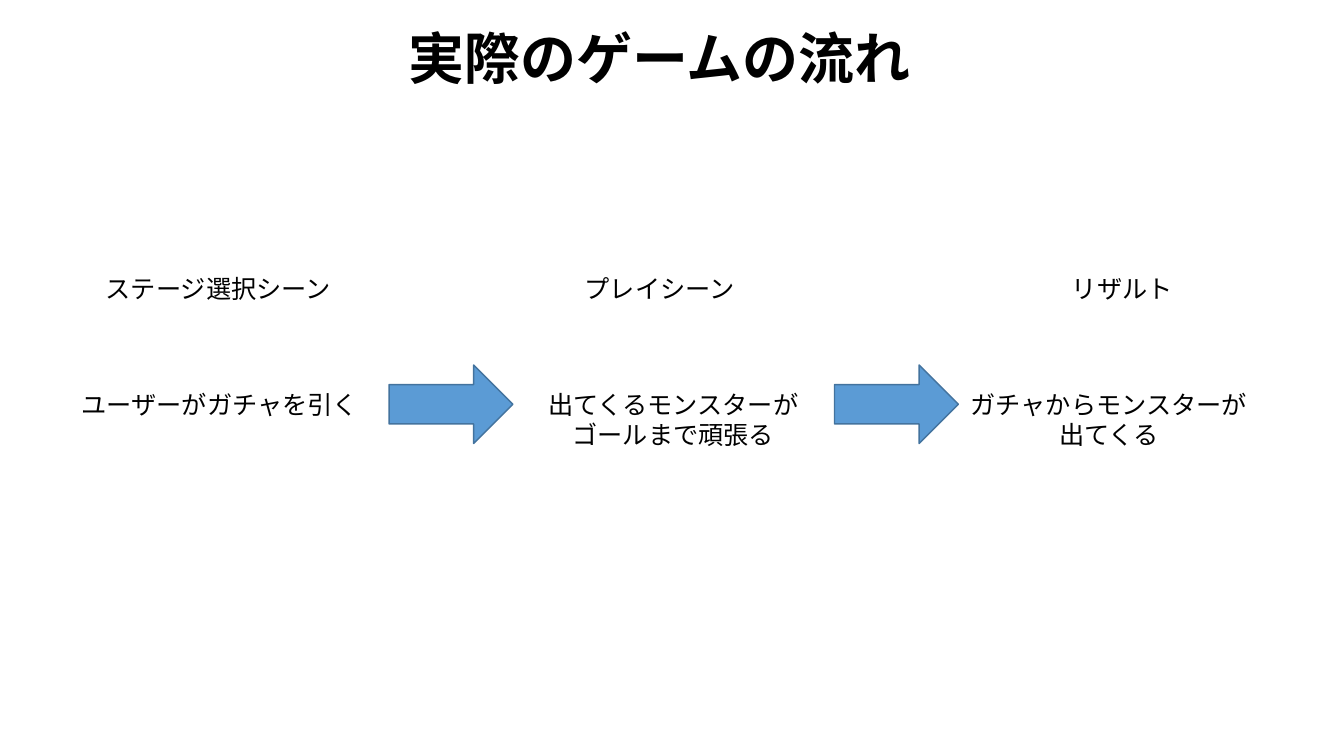
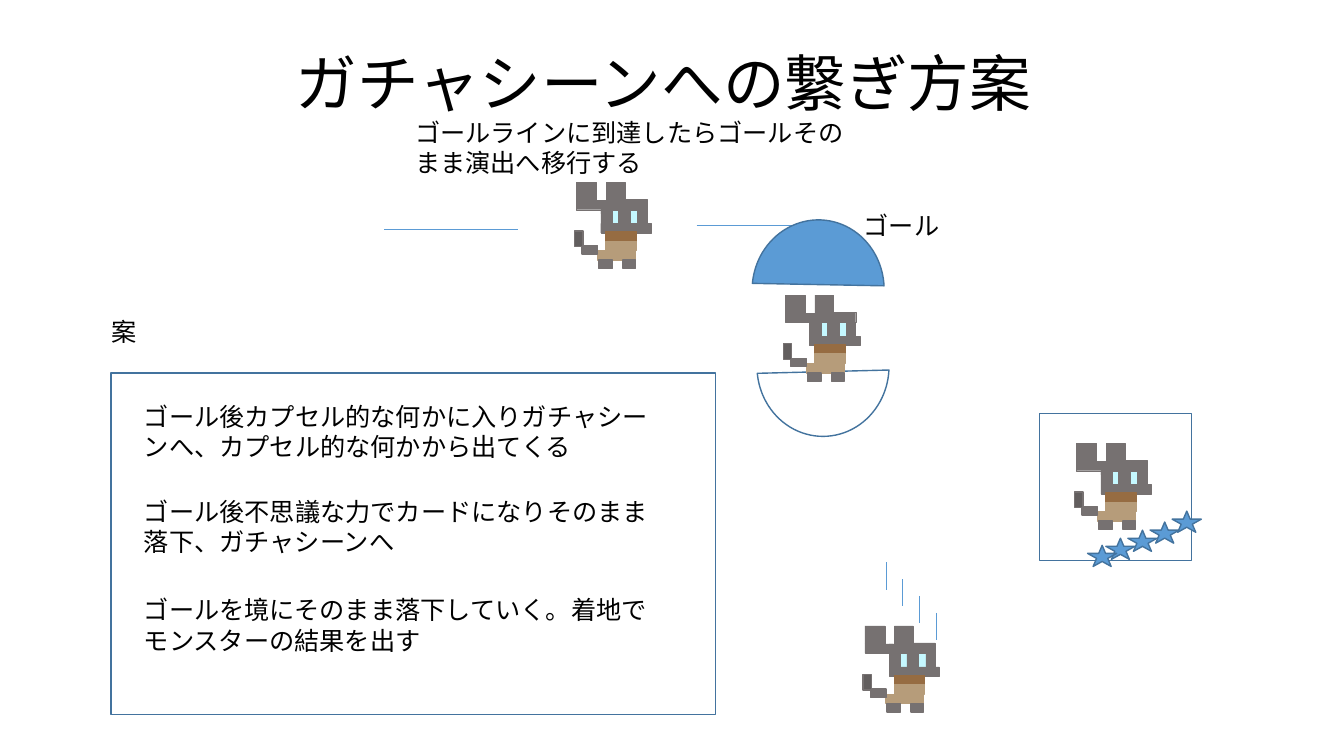
from dataclasses import dataclass

from lxml import etree
from pptx import Presentation
from pptx.dml.color import RGBColor
from pptx.enum.shapes import MSO_CONNECTOR, MSO_SHAPE
from pptx.enum.text import MSO_ANCHOR, MSO_AUTO_SIZE, PP_ALIGN
from pptx.oxml.ns import qn
from pptx.util import Emu, Inches, Pt

STRAIGHT = MSO_CONNECTOR.STRAIGHT
RECTANGLE, ARROW = MSO_SHAPE.RECTANGLE, MSO_SHAPE.RIGHT_ARROW
CHORD, STAR = MSO_SHAPE.CHORD, MSO_SHAPE.STAR_5_POINT
LEFT, CENTER = PP_ALIGN.LEFT, PP_ALIGN.CENTER
TOP, MIDDLE = MSO_ANCHOR.TOP, MSO_ANCHOR.MIDDLE
FIT_TEXT, NO_FIT = MSO_AUTO_SIZE.SHAPE_TO_FIT_TEXT, MSO_AUTO_SIZE.NONE

# The slide is a grid of 64 columns and 36 rows of square cells.
COLUMNS, ROWS = 64, 36
CELL = Inches(7.5) / ROWS
MOUSE_PIXEL = 1 / 20  # in cells

FONT = "Noto Sans CJK JP"
BODY_SIZE = 18
ONE_LINE, TWO_LINES = 1.92, 3.41
TITLE_ONLY = 5
COLORS = {
    "text": "000000",
    "blue": "5B9BD5",
    "outline": "43739E",
    "fur": "767171",
    "tail": "625E5E",
    "eye": "C5F8FF",
    "collar": "966C42",
    "belly": "B69C7A",
}


@dataclass(frozen=True)
class Box:
    left: float
    top: float
    width: float
    height: float


@dataclass(frozen=True)
class Step:
    heading: str
    heading_left: float
    action: str
    action_box: Box
    alignment: PP_ALIGN = CENTER


@dataclass(frozen=True)
class MousePart:
    """A block of the mouse, measured in mouse pixels."""
    left: int
    top: int
    width: int
    height: int
    fill: str = "fur"
    line: str = "fur"
    line_width: float = 0.25


STEPS = (
    Step("ステージ選択シーン", 3.41, "ユーザーがガチャを引く",
         Box(3.41, 18.29, 15.12, ONE_LINE), LEFT),
    Step("プレイシーン", 24.43, "出てくるモンスターがゴールまで頑張る",
         Box(24.91, 18.29, 14.3, TWO_LINES)),
    Step("リザルト", 46.46, "ガチャからモンスターが出てくる",
         Box(45.65, 18.29, 14.3, TWO_LINES)),
)
ARROW_LEFTS = (18.53, 39.74)

PROPOSALS = (
    (18.86, "ゴール後カプセル的な何かに入りガチャシーンへ、カプセル的な何かから出てくる"),
    (23.38, "ゴール後不思議な力でカードになりそのまま落下、ガチャシーンへ"),
    (28.08, "ゴールを境にそのまま落下していく。着地でモンスターの結果を出す"),
)
STAR_CORNERS = ((52.66, 25.63), (51.79, 25.97), (53.71, 25.25),
                (54.77, 24.86), (55.82, 24.34))

MOUSE_PARTS = (
    MousePart(53, 26, 7, 13, "eye", "eye", 1),
    MousePart(34, 26, 7, 13, "eye", "eye", 1),
    MousePart(25, 39, 48, 9),
    MousePart(25, 26, 11, 13),
    MousePart(25, 17, 10, 13),
    MousePart(2, 17, 27, 9),
    MousePart(34, 16, 35, 10),
    MousePart(30, 0, 18, 17),
    MousePart(42, 25, 11, 14),
    MousePart(60, 26, 9, 13),
    MousePart(30, 47, 29, 9, "collar", "collar", 1),
    MousePart(30, 56, 29, 9, "belly", "belly", 1),
    MousePart(22, 65, 36, 9, "belly", "belly", 1),
    MousePart(46, 74, 12, 8, line_width=1),
    MousePart(23, 74, 13, 8, line_width=1),
    MousePart(7, 60, 15, 8, line_width=1),
    MousePart(0, 46, 8, 15, "tail", line_width=1),
    MousePart(33, 56, 2, 9, "belly", "belly", 1),
    MousePart(2, 0, 19, 17),
)


def cells(count: float) -> Emu:
    return Emu(round(count * CELL))


def frame(box: Box) -> tuple[Emu, Emu, Emu, Emu]:
    return cells(box.left), cells(box.top), cells(box.width), cells(box.height)


def color(name: str) -> RGBColor:
    return RGBColor.from_string(COLORS[name])


def write(shape, text: str, size: float, alignment: PP_ALIGN, bold: bool = False) -> None:
    """Fill a shape with one paragraph in the shared font, Latin and East Asian."""
    shape.text_frame.word_wrap = True
    paragraph = shape.text_frame.paragraphs[0]
    paragraph.text = text
    paragraph.alignment = alignment
    font = paragraph.font
    font.name, font.size, font.bold = FONT, Pt(size), bold
    font.color.rgb = color("text")
    properties = paragraph._p.pPr.find(qn("a:defRPr"))
    etree.SubElement(properties, qn("a:ea"), typeface=FONT)


def add_titled_slide(presentation, title: str, box: Box, size: float,
                     anchor: MSO_ANCHOR, bold: bool = False):
    slide = presentation.slides.add_slide(presentation.slide_layouts[TITLE_ONLY])
    shape = slide.shapes.title
    shape.left, shape.top, shape.width, shape.height = frame(box)
    shape.text_frame.auto_size = NO_FIT
    shape.text_frame.vertical_anchor = anchor
    write(shape, title, size, CENTER, bold)
    return slide


def add_text(slide, text: str, box: Box, alignment: PP_ALIGN = LEFT) -> None:
    shape = slide.shapes.add_textbox(*frame(box))
    write(shape, text, BODY_SIZE, alignment)
    shape.text_frame.auto_size = FIT_TEXT


def add_outlined(shapes, kind: MSO_SHAPE, box: Box, fill: str | None = "blue",
                 line: str = "outline", line_width: float = 1):
    shape = shapes.add_shape(kind, *frame(box))
    shape.shadow.inherit = False
    if fill is None:
        shape.fill.background()
    else:
        shape.fill.solid()
        shape.fill.fore_color.rgb = color(fill)
    shape.line.color.rgb = color(line)
    shape.line.width = Pt(line_width)
    return shape


def add_line(slide, left: float, top: float, width: float = 0, height: float = 0) -> None:
    line = slide.shapes.add_connector(
        STRAIGHT, cells(left), cells(top), cells(left + width), cells(top + height))
    line.line.color.rgb = color("blue")
    line.line.width = Pt(0.5)
    etree.SubElement(line._element.spPr, qn("a:effectLst"))


def add_capsule_half(slide, box: Box, rotation: float, fill: str | None) -> None:
    half = add_outlined(slide.shapes, CHORD, box, fill)
    half.adjustments[0], half.adjustments[1] = 55.92, 158.37
    half.rotation = rotation


def add_mouse(slide, left: float, top: float) -> None:
    group = slide.shapes.add_group_shape()
    for part in MOUSE_PARTS:
        box = Box(left + part.left * MOUSE_PIXEL, top + part.top * MOUSE_PIXEL,
                  part.width * MOUSE_PIXEL, part.height * MOUSE_PIXEL)
        add_outlined(group.shapes, RECTANGLE, box, part.fill, part.line, part.line_width)


def add_game_flow_slide(presentation) -> None:
    slide = add_titled_slide(presentation, "実際のゲームの流れ",
                             Box(16.03, 0.86, 30.77, 3.7), 40, TOP, bold=True)
    for step in STEPS:
        add_text(slide, step.heading, Box(step.heading_left, 12.77, 13.97, ONE_LINE), CENTER)
        add_text(slide, step.action, step.action_box, step.alignment)
    for left in ARROW_LEFTS:
        add_outlined(slide.shapes, ARROW, Box(left, 17.38, 5.9, 3.74))


def add_transition_slide(presentation) -> None:
    slide = add_titled_slide(presentation, "ガチャシーンへの繋ぎ方案",
                             Box(4, 0.62, 55.2, 6.96), 44, MIDDLE)
    slide.shapes.title.text_frame.paragraphs[0].line_spacing = 0.9

    # Reaching the goal line
    add_text(slide, "ゴールラインに到達したらゴールそのまま演出へ移行する",
             Box(19.3, 5.33, 22.13, TWO_LINES))
    add_mouse(slide, 27.36, 8.69)
    add_line(slide, 18.29, 10.9, width=6.38)
    add_line(slide, 33.17, 10.75, width=6.33)
    add_text(slide, "ゴール", Box(40.66, 9.79, 5.66, ONE_LINE))

    # Proposals
    add_text(slide, "案", Box(4.85, 14.83, 4.37, ONE_LINE))
    add_outlined(slide.shapes, RECTANGLE, Box(5.28, 17.76, 28.8, 16.27), fill=None)
    for top, proposal in PROPOSALS:
        add_text(slide, proposal, Box(6.38, top, 25.73, TWO_LINES))

    # Capsule
    add_capsule_half(slide, Box(35.62, 10.66, 6.67, 6.29), 92.5, "blue")
    add_capsule_half(slide, Box(35.86, 14.3, 6.67, 6.29), 270, None)
    add_mouse(slide, 37.3, 14.06)

    # Card with stars
    add_mouse(slide, 51.17, 21.12)
    add_outlined(slide.shapes, RECTANGLE, Box(49.49, 19.68, 7.25, 7.01), fill=None)
    for left, top in STAR_CORNERS:
        add_outlined(slide.shapes, STAR, Box(left, top, 1.39, 1.01))

    # Falling mouse
    add_mouse(slide, 41.09, 29.81)
    for index in range(4):
        add_line(slide, 42.19 + 0.8 * index, 26.78 + 0.8 * index, height=1.3)


def main() -> None:
    presentation = Presentation()
    presentation.slide_width = cells(COLUMNS)
    presentation.slide_height = cells(ROWS)
    add_game_flow_slide(presentation)
    add_transition_slide(presentation)
    presentation.save("out.pptx")


if __name__ == "__main__":
    main()
